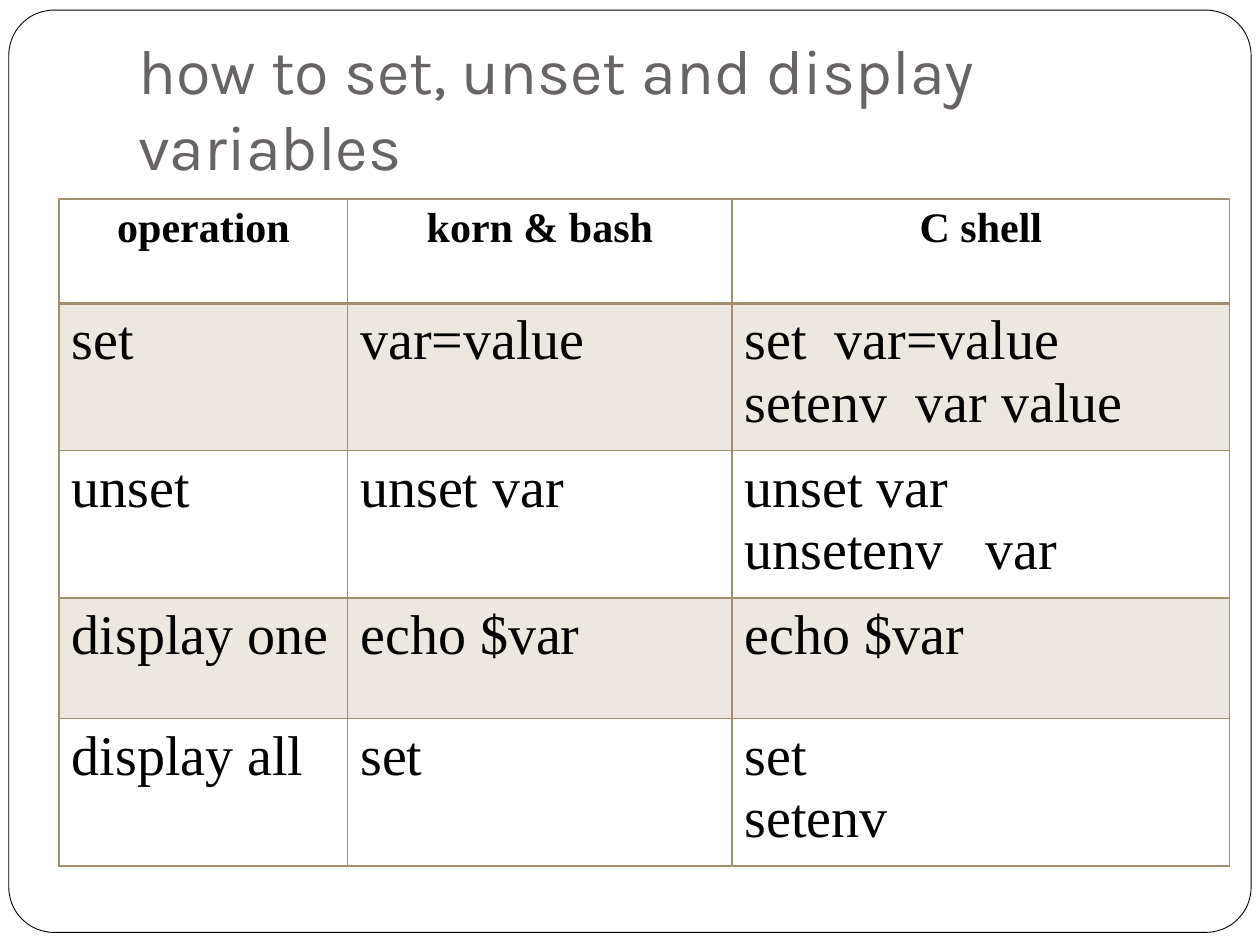
from dataclasses import dataclass

from lxml import etree
from pptx import Presentation
from pptx.dml.color import RGBColor
from pptx.enum.shapes import MSO_SHAPE
from pptx.enum.text import MSO_ANCHOR, PP_ALIGN
from pptx.oxml.ns import qn
from pptx.util import Inches, Pt

ROUND = MSO_SHAPE.ROUNDED_RECTANGLE
BOTTOM = MSO_ANCHOR.BOTTOM
LEFT, CENTER = PP_ALIGN.LEFT, PP_ALIGN.CENTER


@dataclass(frozen=True)
class Theme:
    white: str = "FFFFFF"
    black: str = "000000"
    grey: str = "696464"
    tan: str = "A28E6A"
    band: str = "ECE8E1"
    title_font: str = "Karla"
    body_font: str = "Times New Roman"
    title_size: int = 36
    head_size: int = 24
    body_size: int = 32


THEME = Theme()
TITLE = "how to set, unset and display variables"
COLS = [2.29, 3.05, 3.95]
ROWS = [0.83, 1.09, 1.09, 0.96, 1.09]
CELLS = [
    ["operation", "korn & bash", "C shell"],
    ["set", "var=value", "set  var=value\nsetenv  var value"],
    ["unset", "unset var", "unset var\nunsetenv   var"],
    ["display one", "echo $var", "echo $var"],
    ["display all", "set", "set\nsetenv"],
]


def write(frame, text, align, color, **style):
    frame.text = text
    for para in frame.paragraphs:
        para.alignment = align
        for run in para.runs:
            for name, value in style.items():
                setattr(run.font, name, value)
            run.font.color.rgb = RGBColor.from_string(color)


def add_frame(slide):
    box = slide.shapes.add_shape(
        ROUND, Inches(0.07), Inches(0.08), Inches(9.86), Inches(7.32))
    box.adjustments[0] = 0.049
    box.shadow.inherit = False
    box.fill.solid()
    box.fill.fore_color.rgb = RGBColor.from_string(THEME.white)
    box.line.color.rgb = RGBColor.from_string(THEME.black)
    box.line.width = Pt(0.5)


def add_title(slide):
    box = slide.shapes.add_textbox(
        Inches(1), Inches(0.3), Inches(8.5), Inches(1.25))
    frame = box.text_frame
    form = {"word_wrap": True, "vertical_anchor": BOTTOM,
            "margin_bottom": Inches(0.1)}
    for name, value in form.items():
        setattr(frame, name, value)
    write(frame, TITLE, LEFT, THEME.grey,
          name=THEME.title_font, size=Pt(THEME.title_size))


def set_edges(cell, widths):
    props = cell._tc.get_or_add_tcPr()
    for side, width in widths.items():
        line = etree.SubElement(props, qn(f"a:ln{side}"), w=str(Pt(width)))
        fill = etree.SubElement(line, qn("a:solidFill"))
        etree.SubElement(fill, qn("a:srgbClr"), val=THEME.tan)


def fill_cell(cell, text, row):
    head = row == 0
    write(cell.text_frame, text, CENTER if head else LEFT, THEME.black,
          name=THEME.body_font, bold=head,
          size=Pt(THEME.head_size if head else THEME.body_size))
    set_edges(cell, {"L": 1, "R": 1, "T": 2 if row == 1 else 1,
                     "B": 2 if head else 1})
    if row % 2:
        cell.fill.solid()
        cell.fill.fore_color.rgb = RGBColor.from_string(THEME.band)
    else:
        cell.fill.background()


def add_grid(slide):
    table = slide.shapes.add_table(
        len(ROWS), len(COLS), Inches(0.47), Inches(1.58),
        Inches(sum(COLS)), Inches(sum(ROWS))).table
    table.first_row = table.horz_banding = False
    for col, width in zip(table.columns, COLS):
        col.width = Inches(width)
    for row, height in zip(table.rows, ROWS):
        row.height = Inches(height)
    for r, texts in enumerate(CELLS):
        for c, text in enumerate(texts):
            fill_cell(table.cell(r, c), text, r)


def main():
    deck = Presentation()
    deck.slide_width, deck.slide_height = Inches(10), Inches(7.5)
    slide = deck.slides.add_slide(deck.slide_layouts[6])
    add_frame(slide)
    add_title(slide)
    add_grid(slide)
    deck.save("out.pptx")


if __name__ == "__main__":
    main()
